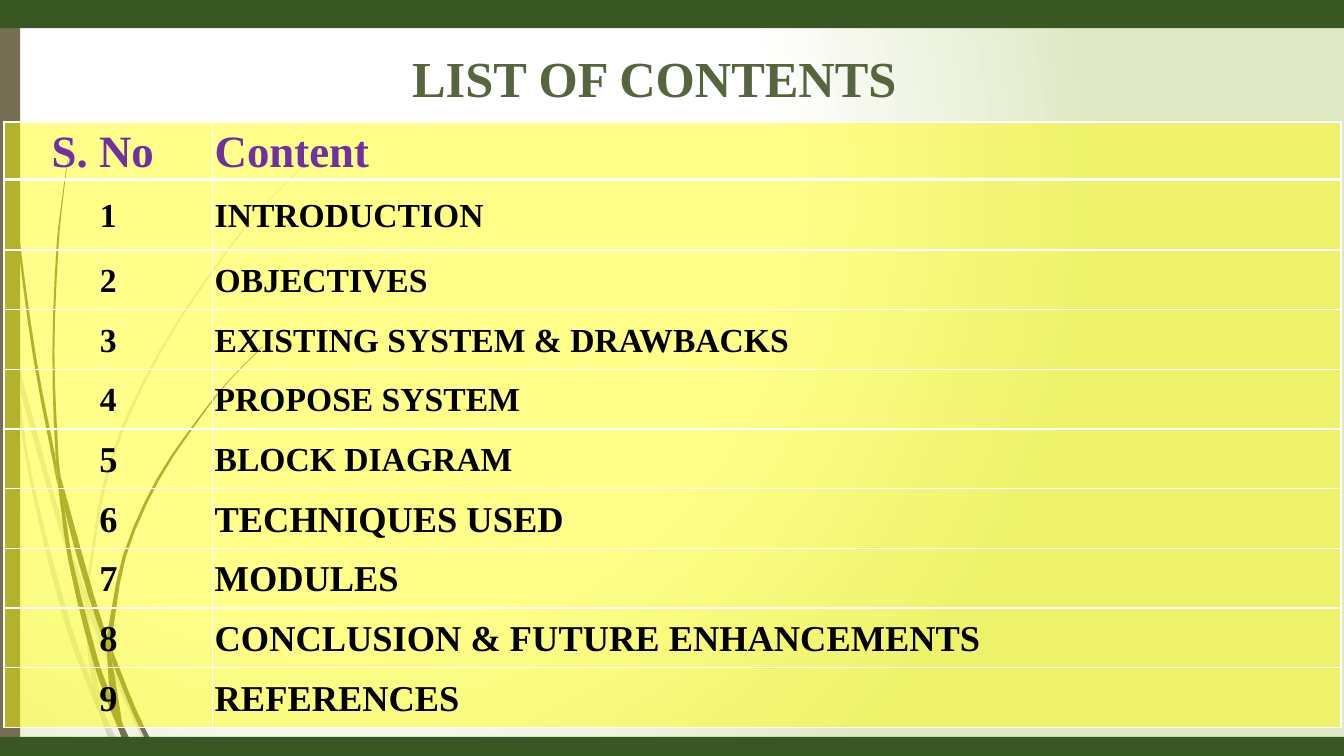
from dataclasses import dataclass
from math import dist
from lxml.etree import SubElement
from pptx import Presentation
from pptx.dml.color import RGBColor
from pptx.enum.shapes import MSO_SHAPE
from pptx.enum.text import MSO_ANCHOR, PP_ALIGN
from pptx.oxml import parse_xml
from pptx.oxml.ns import nsdecls, qn
from pptx.util import Inches, Pt

TITLE = "LIST OF CONTENTS"
HEADINGS = ("S. No ", "Content")
TOPICS = [
    "INTRODUCTION", "OBJECTIVES", "EXISTING SYSTEM & DRAWBACKS", "PROPOSE SYSTEM",
    "BLOCK DIAGRAM", "TECHNIQUES USED", "MODULES",
    "CONCLUSION & FUTURE ENHANCEMENTS", "REFERENCES",
]
FIRST_LARGE = (5, 6)

FAINT_BLADES = [
    ([(.11, 3.5), (.09, 3.22), (0, 2.82)], [(0, 2.99), (.1, 3.44), (.11, 3.5)]),
    ([(.14, 3.45), (.17, 3.76), (.58, 5.22), (.84, 5.99)], [(.85, 5.86), (.62, 5.2), (.14, 3.45)]),
    ([(.88, 5.96), (.92, 6.07), (1.27, 6.92), (1.55, 7.51)], [(1.5, 7.51), (1.23, 6.94), (.88, 6.1)]),
    ([(1.05, 7.11), (1.24, 7.51)], [(1.19, 7.51), (1.05, 7.11)]),
    ([(.11, 3.5), (.17, 3.76), (.31, 4.69), (.7, 6.19), (.93, 6.83), (1.01, 7.14)],
     [(.92, 6.93), (.65, 6.21), (.28, 4.7), (.11, 3.5)]),
    ([(.84, 5.99), (.87, 6.46), (.93, 6.83), (1.05, 7.11)],
     [(1.03, 7.06), (.91, 6.46), (.88, 6.1), (.84, 5.99)]),
    ([(.88, 5.96), (.88, 5.84), (1.1, 4.62), (1.6, 3.49), (2.29, 2.45), (2.68, 1.98), (3.12, 1.54)],
     [(3.12, 1.53), (2.68, 1.97), (2.28, 2.44), (1.58, 3.48), (1.07, 4.61), (.85, 5.84), (.85, 5.86)]),
    ([(1.01, 7.14), (1.14, 7.51)], [(1.19, 7.51), (1.01, 7.14)]),
    ([(.88, 6.1), (.88, 5.96)], [(.85, 5.86), (.84, 5.99)]),
    ([(.93, 6.83), (1.01, 7.14), (1.19, 7.51)], [(1.05, 7.11), (.96, 6.92), (.93, 6.83)]),
]
DARK_BLADES = [
    ([(.04, 0), (.04, .48), (.07, 1.1), (.17, 2.33), (.33, 3.55), (.57, 4.81)],
     [(.55, 4.53), (.36, 3.55), (.19, 2.32), (.08, 1.09), (.05, .48), (.04, 0), (.03, 0)]),
    ([(.6, 4.72), (.64, 5.05), (.88, 5.92), (1.06, 6.45)], [(1.06, 6.31), (.93, 5.9), (.6, 4.72)]),
    ([(1.1, 6.41), (1.13, 6.49), (1.36, 7.06), (1.57, 7.49)], [(1.52, 7.49), (1.32, 7.08), (1.11, 6.56)]),
    ([(.57, 4.77), (.64, 5.05), (.72, 5.56), (.98, 6.57), (1.1, 6.91), (1.17, 7.22)],
     [(1.11, 7.08), (.93, 6.59), (.68, 5.57), (.57, 4.77)]),
    ([(.6, 4.72), (.58, 4.53), (.54, 3.49), (.58, 2.45), (.63, 1.93), (.7, 1.41)],
     [(.7, 1.41), (.62, 1.93), (.56, 2.45), (.52, 3.49), (.55, 4.49), (.6, 4.72)]),
    ([(1.22, 7.19), (1.36, 7.49)], [(1.33, 7.49), (1.22, 7.19)]),
    ([(.55, 4.49), (.57, 4.77), (.64, 5.05)], [(.6, 4.72), (.55, 4.49)]),
    ([(1.1, 6.41), (1.11, 6.33), (1.25, 5.52), (1.58, 4.76), (2.05, 4.06), (2.31, 3.74), (2.61, 3.44)],
     [(2.6, 3.44), (2.31, 3.73), (2.04, 4.05), (1.56, 4.74), (1.22, 5.51), (1.06, 6.31)]),
    ([(1.17, 7.22), (1.27, 7.49)], [(1.31, 7.49), (1.17, 7.22)]),
    ([(1.06, 6.45), (1.1, 6.91), (1.22, 7.19)], [(1.21, 7.16), (1.11, 6.56), (1.06, 6.45)]),
    ([(1.06, 6.45), (1.11, 6.56)], [(1.1, 6.41), (1.06, 6.31)]),
    ([(1.1, 6.91), (1.17, 7.22), (1.3, 7.49)], [(1.33, 7.49), (1.22, 7.19), (1.1, 6.91)]),
]


@dataclass(frozen=True)
class Theme:
    font: str = "Times New Roman"
    white: str = "FFFFFF"
    mist: str = "DFE8C4"
    bark: str = "766F54"
    forest: str = "385723"
    moss: str = "56653E"
    purple: str = "7030A0"
    black: str = "000000"
    yellow: str = "FFFF00"
    title_size: int = 36
    heading_size: int = 32
    topic_size: int = 24
    large_size: int = 26


THEME = Theme()
WIDE, TALL = 13.33, 7.5


def rgb(code):
    return RGBColor.from_string(code)


def paint(target, color, alpha=100):
    target.fill.solid()
    target.fill.fore_color.rgb = rgb(color)
    if alpha < 100:
        holder = target.fill._xPr.find(qn("a:solidFill"))[0]
        SubElement(holder, qn("a:alpha"), val=str(alpha * 1000))


def write(frame, text, size, color, align=PP_ALIGN.LEFT, spacing=None):
    paragraph = frame.paragraphs[0]
    paragraph.alignment = align
    paragraph.line_spacing = spacing
    run = paragraph.add_run()
    run.text = text
    run.font.name = THEME.font
    run.font.size = Pt(size)
    run.font.bold = True
    run.font.color.rgb = rgb(color)


def smooth_edge(points, steps=3):
    last = len(points) - 1
    if last == 1:
        return points
    gaps = [dist(a, b) for a, b in zip(points, points[1:])]

    def slope(i, axis):
        lo, hi = max(i - 1, 0), min(i + 1, last)
        return (points[hi][axis] - points[lo][axis]) / sum(gaps[lo:hi])

    def between(i, u, axis):
        ease = u * u * (3 - 2 * u)
        return (points[i][axis] * (1 - ease) + points[i + 1][axis] * ease
                + gaps[i] * slope(i, axis) * u * (1 - u) ** 2
                - gaps[i] * slope(i + 1, axis) * u * u * (1 - u))

    curve = [(between(i, k / steps, 0), between(i, k / steps, 1))
             for i in range(last) for k in range(steps)]
    return curve + [points[-1]]


def add_blade(slide, edges, alpha):
    start, *rest = [tuple(map(Inches, point)) for edge in edges for point in smooth_edge(edge)]
    builder = slide.shapes.build_freeform(*start)
    builder.add_line_segments(rest, close=True)
    blade = builder.convert_to_shape()
    blade.shadow.inherit = False
    blade.line.fill.background()
    paint(blade, THEME.bark, alpha)


def add_band(slide, left, top, width, height, color):
    band = slide.shapes.add_shape(MSO_SHAPE.RECTANGLE, *map(Inches, (left, top, width, height)))
    band.shadow.inherit = False
    band.line.fill.background()
    paint(band, color)


def add_background(slide):
    fill = slide.background.fill
    fill.gradient()
    for stop, place, color in zip(fill.gradient_stops, (0.57, 1), (THEME.white, THEME.mist)):
        stop.position = place
        stop.color.rgb = rgb(color)
    linear = next(slide._element.iter(qn("a:lin")))
    linear.getparent().replace(linear, parse_xml(
        f'<a:path {nsdecls("a")} path="circle">'
        '<a:fillToRect l="50000" t="50000" r="100000" b="100000"/></a:path>'))


def add_borders(cell, top, bottom):
    for i, (side, width) in enumerate((("L", 1), ("R", 1), ("T", top), ("B", bottom))):
        cell._tc.get_or_add_tcPr().insert(i, parse_xml(
            f'<a:ln{side} {nsdecls("a")} w="{Pt(width)}"><a:solidFill>'
            f'<a:srgbClr val="{THEME.white}"/></a:solidFill></a:ln{side}>'))


def add_contents(slide):
    left, top, width, height = 0.04, 1.21, WIDE - 0.07, 6.01
    heading_row, first_row = 0.57, 0.7
    topic_row = (height - heading_row - first_row) / (len(TOPICS) - 1)
    heights = [heading_row, first_row] + [topic_row] * (len(TOPICS) - 1)
    rows = [HEADINGS] + [(str(i), topic) for i, topic in enumerate(TOPICS, 1)]
    table = slide.shapes.add_table(len(rows), 2, *map(Inches, (left, top, width, height))).table
    table.first_row = table.horz_banding = False
    number_column = 2.07
    for column, share in zip(table.columns, (number_column, width - number_column)):
        column.width = Inches(share)
    for r, row in enumerate(rows):
        table.rows[r].height = Inches(heights[r])
        for c, text in enumerate(row):
            cell = table.cell(r, c)
            cell.vertical_anchor = MSO_ANCHOR.MIDDLE
            cell.margin_left = cell.margin_right = Inches(0.02)
            cell.margin_top = cell.margin_bottom = 0
            size = THEME.large_size if r >= FIRST_LARGE[c] else THEME.topic_size
            write(cell.text_frame, text, size if r else THEME.heading_size,
                  THEME.black if r else THEME.purple,
                  align=PP_ALIGN.LEFT if c else PP_ALIGN.CENTER, spacing=1.07)
            paint(cell, THEME.yellow, 46)
            add_borders(cell, 3 if r == 1 else 1, 1 if r else 3)


def add_title(slide):
    title = slide.shapes.add_textbox(*map(Inches, (2.82, 0.42, 6.59, 0.71)))
    title.text_frame.word_wrap = True
    title.text_frame.margin_left = Inches(0.85)
    write(title.text_frame, TITLE, THEME.title_size, THEME.moss, align=PP_ALIGN.CENTER)


def main():
    deck = Presentation()
    deck.slide_width, deck.slide_height = Inches(WIDE), Inches(TALL)
    slide = deck.slides.add_slide(deck.slide_layouts[6])
    add_background(slide)
    for blades, alpha in ((FAINT_BLADES, 20), (DARK_BLADES, 100)):
        for edges in blades:
            add_blade(slide, edges, alpha)
    add_band(slide, 0, 0, 0.2, TALL, THEME.bark)
    add_contents(slide)
    add_title(slide)
    add_band(slide, 0, 0, WIDE, 0.28, THEME.forest)
    add_band(slide, 0, 7.31, WIDE, 0.24, THEME.forest)
    deck.save("out.pptx")


if __name__ == "__main__":
    main()
